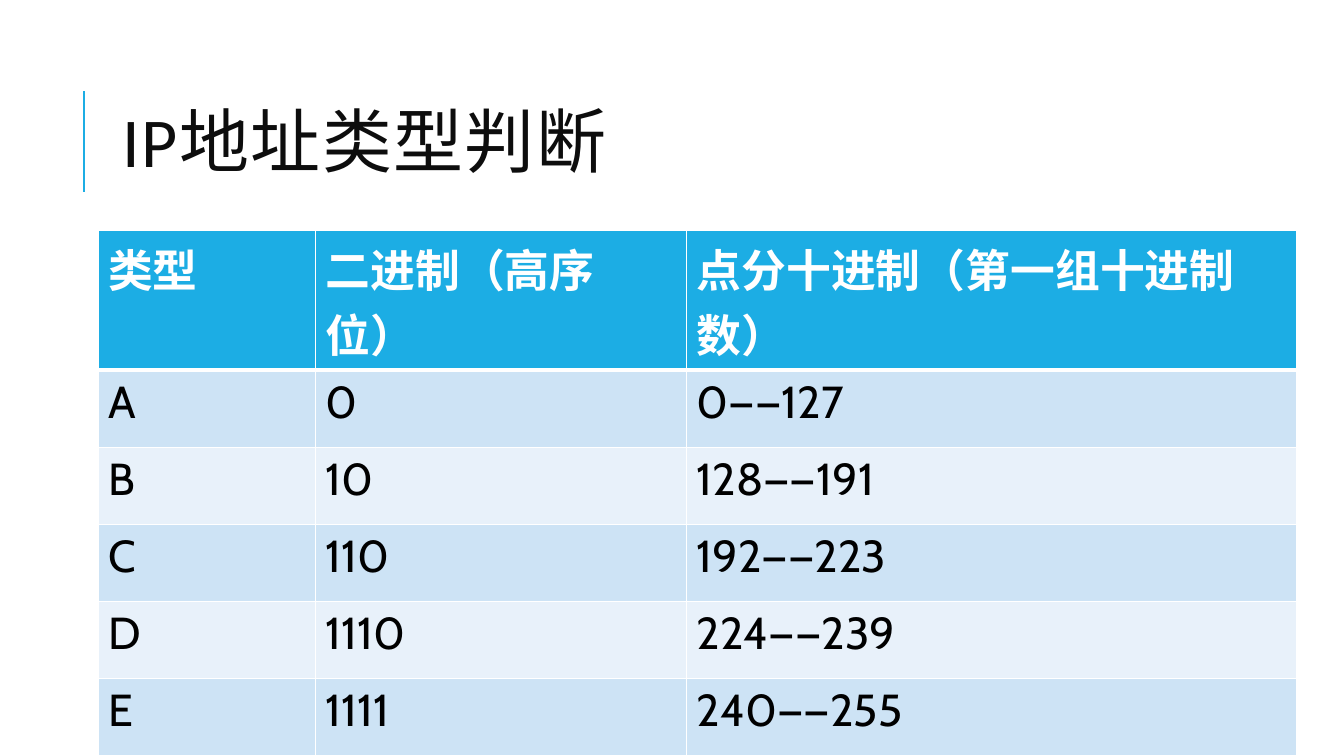
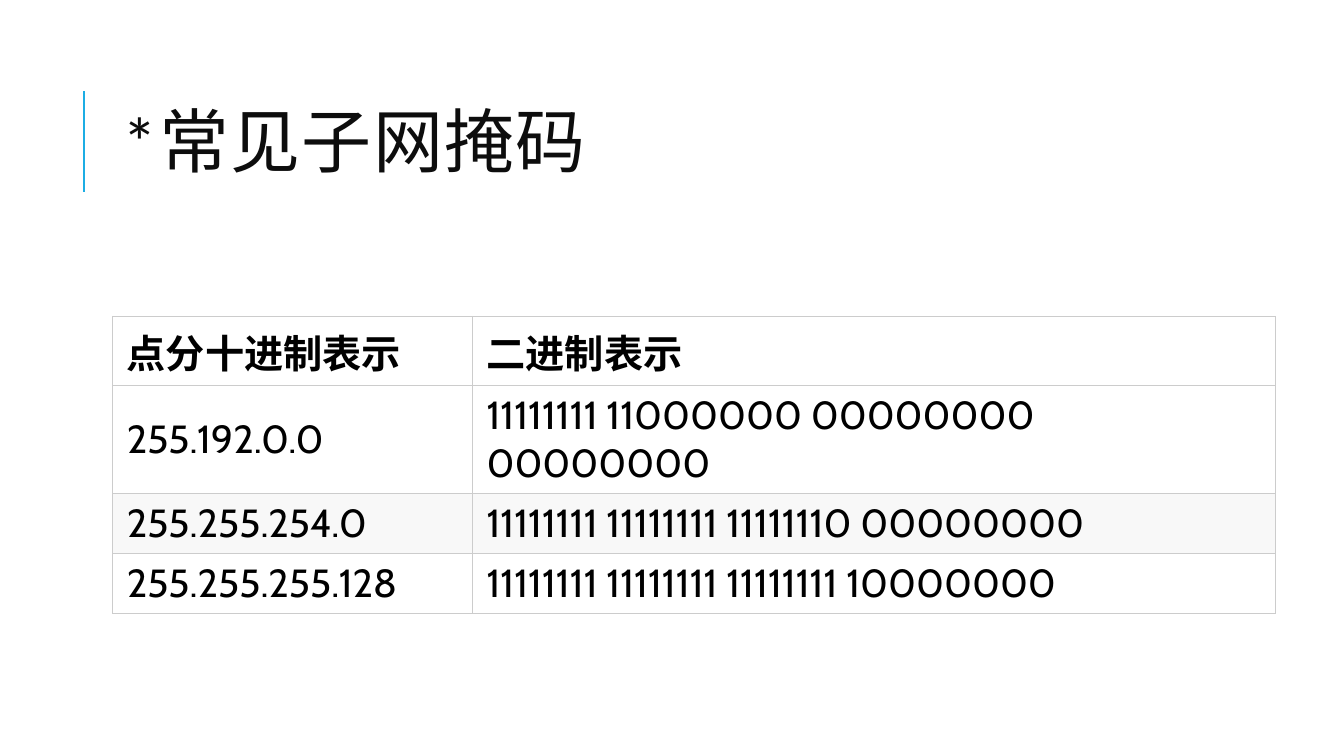
import lxml.etree
import pptx
import pptx.dml.color
import pptx.enum.shapes
import pptx.enum.text
import pptx.oxml.ns
import pptx.util

Pt = pptx.util.Pt
RGB = pptx.dml.color.RGBColor
ANCHOR = pptx.enum.text.MSO_ANCHOR
qn = pptx.oxml.ns.qn

WHITE = RGB(0xFF, 0xFF, 0xFF)
BLACK = RGB(0x00, 0x00, 0x00)
INK = RGB(0x0D, 0x0D, 0x0D)
BLUE = RGB(0x1C, 0xAD, 0xE4)
SKY = RGB(0xCD, 0xE3, 0xF5)
PALE = RGB(0xE8, 0xF1, 0xFA)
GRAY = RGB(0xCC, 0xCC, 0xCC)
MIST = RGB(0xF8, 0xF8, 0xF8)


class Deck:
    """Hold the shared style and the current slide."""

    def __init__(self):
        self.file = pptx.Presentation()
        self.apply(self.file, slide_width=Pt(960), slide_height=Pt(540))
        self.slide = None

    def apply(self, item, **values):
        for name, value in values.items():
            setattr(item, name, value)

    def style(self, font, color, **values):
        self.apply(font, **values)
        font.color.rgb = color

    def page(self, title):
        layout = self.file.slide_layouts[5]
        self.slide = self.file.slides.add_slide(layout)
        self.rule(60, 64.8, 136.8)
        self.title(title)

    def rule(self, x, top, end):
        kind = pptx.enum.shapes.MSO_CONNECTOR.STRAIGHT
        line = self.slide.shapes.add_connector(kind, Pt(x), Pt(end), Pt(x), Pt(top))
        line.line.color.rgb = BLUE
        line.line.width = Pt(1.5)
        lxml.etree.SubElement(line._element.spPr, qn("a:effectLst"))

    def title(self, text):
        shape = self.slide.shapes.title
        self.apply(shape, left=Pt(80.6), top=Pt(46), width=Pt(765.4), height=Pt(118))
        frame = shape.text_frame
        self.apply(frame, text=text, word_wrap=True, vertical_anchor=ANCHOR.MIDDLE)
        para = frame.paragraphs[0]
        self.apply(para, alignment=pptx.enum.text.PP_ALIGN.LEFT, line_spacing=0.8)
        run = para.runs[0]
        self.style(run.font, INK, name="Calibri", size=Pt(50), bold=False)
        run._r.get_or_add_rPr().set("spc", "100")

    def border(self, cell, color, widths):
        props = cell._tc.get_or_add_tcPr()
        for place, (side, width) in enumerate(zip("LRTB", widths)):
            line = lxml.etree.Element(qn("a:ln" + side), w=str(Pt(width)))
            fill = lxml.etree.SubElement(line, qn("a:solidFill"))
            lxml.etree.SubElement(fill, qn("a:srgbClr"), val=str(color))
            props.insert(place, line)

    def table(self, left, top, cols, highs, rows, size, head, bands, edge, **form):
        shape = self.slide.shapes.add_table(
            len(rows), len(cols), Pt(left), Pt(top), Pt(sum(cols)), Pt(sum(highs)))
        table = shape.table
        for col, width in zip(table.columns, cols):
            col.width = Pt(width)
        for row, high in zip(table.rows, highs):
            row.height = Pt(high)
        color, thin, thick = edge
        for i, texts in enumerate(rows):
            fill, ink = head if i == 0 else (bands[(i - 1) % 2], BLACK)
            upper = thick if i == 1 else thin
            lower = thick if i == 0 else thin
            for j, text in enumerate(texts):
                cell = table.cell(i, j)
                self.apply(cell, text=text, **form)
                cell.fill.solid()
                cell.fill.fore_color.rgb = fill
                font = cell.text_frame.paragraphs[0].runs[0].font
                self.style(font, ink, name="Cabin", size=Pt(size), bold=i == 0)
                self.border(cell, color, (thin, thin, upper, lower))


def main():
    deck = Deck()

    deck.page("IP地址类型判断")
    kinds = [
        ("类型", "二进制（高序位）", "点分十进制（第一组十进制数）"),
        ("A", "0", "0——127"),
        ("B", "10", "128——191"),
        ("C", "110", "192——223"),
        ("D", "1110", "224——239"),
        ("E", "1111", "240——255"),
    ]
    deck.table(70, 164.4, (155.5, 265, 436), [55] * len(kinds), kinds, 32,
               (BLUE, WHITE), (SKY, PALE), (WHITE, 1, 3))

    deck.page("*常见子网掩码")
    masks = [
        ("点分十进制表示", "二进制表示"),
        ("255.192.0.0", "11111111 11000000 00000000 00000000"),
        ("255.255.254.0", "11111111 11111111 11111110 00000000"),
        ("255.255.255.128", "11111111 11111111 11111111 10000000"),
    ]
    deck.table(80.6, 226, (257, 573.5), (49, 76, 43, 43), masks, 28,
               (WHITE, BLACK), (WHITE, MIST), (GRAY, 0.75, 0.75),
               vertical_anchor=ANCHOR.MIDDLE, margin_left=Pt(10),
               margin_right=Pt(10), margin_top=Pt(4.5), margin_bottom=Pt(4.5))

    deck.file.save("out.pptx")


if __name__ == "__main__":
    main()
